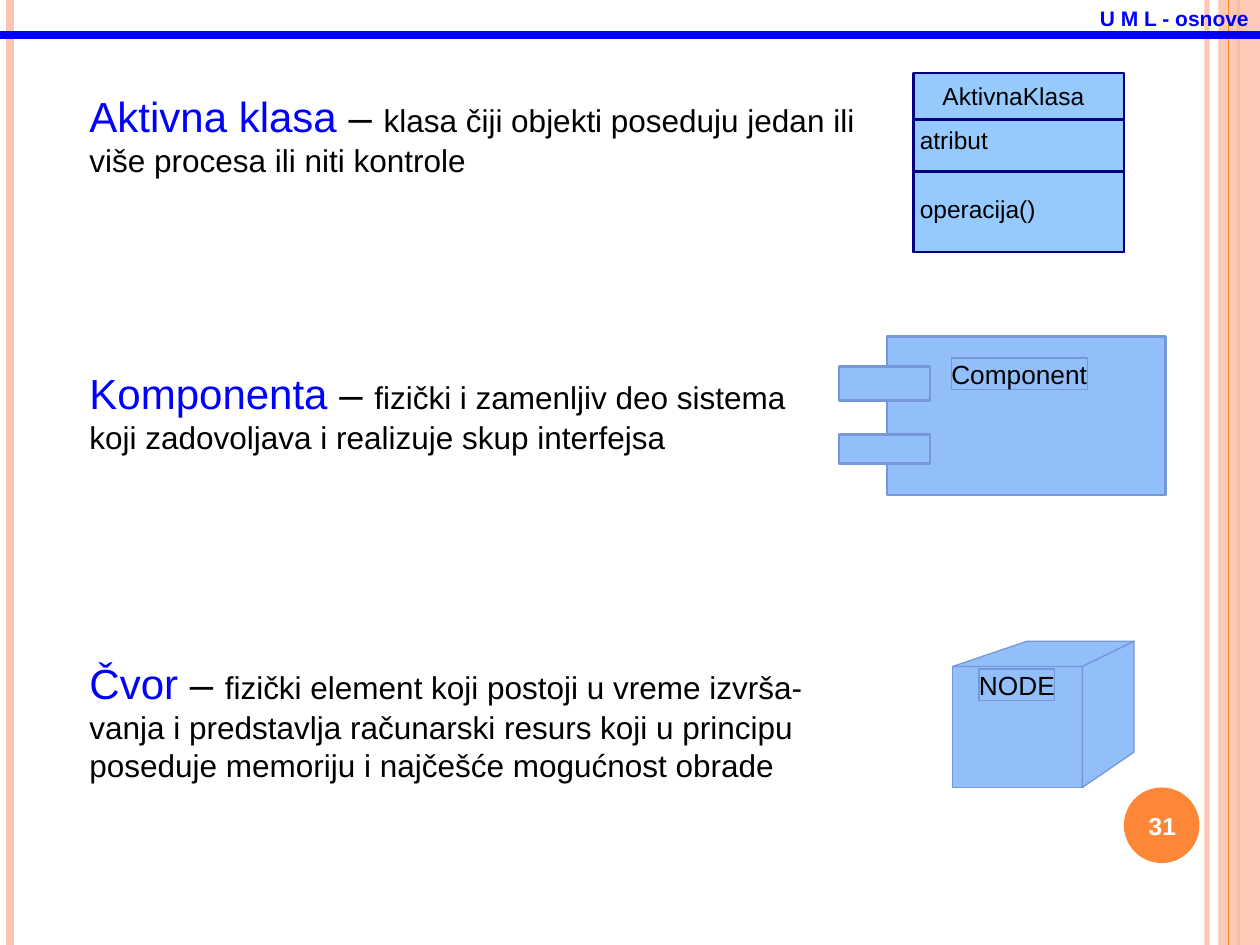
from dataclasses import dataclass
from typing import Optional

import pptx
import pptx.dml.color
import pptx.enum.shapes
import pptx.enum.text
import pptx.oxml.ns
import pptx.util
from lxml import etree

Inches = pptx.util.Inches
Pt = pptx.util.Pt
Shape = pptx.enum.shapes.MSO_SHAPE
Align = pptx.enum.text.PP_ALIGN
Anchor = pptx.enum.text.MSO_ANCHOR
qn = pptx.oxml.ns.qn


@dataclass(frozen=True)
class Theme:
    font: str = "Arial"
    black: str = "000000"
    white: str = "FFFFFF"
    blue: str = "0000FF"
    orange: str = "FE8637"
    peach: str = "FEC3AE"
    class_fill: str = "96CAFE"
    class_line: str = "000080"
    part_fill: str = "92BFFA"
    part_line: str = "7598D9"
    term_size: float = 24
    body_size: float = 18
    part_size: float = 15
    small_size: float = 14
    header_size: float = 12


@dataclass(frozen=True)
class Box:
    left: float
    top: float
    width: float
    height: float


@dataclass(frozen=True)
class Stroke:
    color: str
    width: float


@dataclass(frozen=True)
class Definition:
    term: str
    lines: tuple[str, ...]
    gap: float  # points above the term


THEME = Theme()
PART_STROKE = Stroke(THEME.part_line, 1.5)
LABEL_STROKE = Stroke(THEME.part_line, 0.75)
HAIRLINE = Stroke(THEME.part_line, 0)
CLASS_STROKE = Stroke(THEME.class_line, 1.5)

DEFINITIONS = (
    Definition("Aktivna klasa ", ("klasa čiji objekti poseduju jedan ili",
                                  "više procesa ili niti kontrole"), 0),
    Definition("Komponenta ", ("fizički i zamenljiv deo sistema",
                               "koji zadovoljava i realizuje skup interfejsa"), 108),
    Definition("Čvor ", ("fizički element koji postoji u vreme izvrša-",
                         "vanja i predstavlja računarski resurs koji u principu",
                         "poseduje memoriju i najčešće mogućnost obrade"), 115),
)


def rgb(color: str):
    return pptx.dml.color.RGBColor.from_string(color)


def set_alpha(fill_parent, percent: int) -> None:
    color = fill_parent.find(".//" + qn("a:srgbClr"))
    etree.SubElement(color, qn("a:alpha")).set("val", str(percent * 1000))


def paint(shape, fill: Optional[str], stroke: Optional[Stroke]) -> None:
    shape.shadow.inherit = False
    if fill:
        shape.fill.solid()
        shape.fill.fore_color.rgb = rgb(fill)
    else:
        shape.fill.background()
    if stroke:
        shape.line.color.rgb = rgb(stroke.color)
        shape.line.width = Pt(stroke.width)
    else:
        shape.line.fill.background()


def place(shape, box: Box) -> None:
    shape.left, shape.top = Inches(box.left), Inches(box.top)
    shape.width, shape.height = Inches(box.width), Inches(box.height)


def add_block(page, box: Box, fill: Optional[str], stroke: Optional[Stroke], kind=Shape.RECTANGLE):
    block = page.shapes.add_shape(kind, Inches(box.left), Inches(box.top),
                                  Inches(box.width), Inches(box.height))
    paint(block, fill, stroke)
    return block


def add_line(page, start: tuple[float, float], end: tuple[float, float], stroke: Stroke):
    line = page.shapes.add_connector(pptx.enum.shapes.MSO_CONNECTOR.STRAIGHT,
                                     *map(Inches, start + end))
    line.line.color.rgb = rgb(stroke.color)
    line.line.width = Pt(stroke.width)
    etree.SubElement(line._element.spPr, qn("a:effectLst"))
    return line


def add_face(page, points: list[tuple[float, float]]) -> None:
    corners = [(Inches(x), Inches(y)) for x, y in points]
    builder = page.shapes.build_freeform(*corners[0])
    builder.add_line_segments(corners[1:], close=True)
    paint(builder.convert_to_shape(), THEME.part_fill, HAIRLINE)


def set_frame(frame, margin_x: float, margin_y: float, wrap: bool, anchor=Anchor.TOP) -> None:
    frame.auto_size = pptx.enum.text.MSO_AUTO_SIZE.NONE
    frame.margin_left = frame.margin_right = Inches(margin_x)
    frame.margin_top = frame.margin_bottom = Inches(margin_y)
    frame.word_wrap = wrap
    frame.vertical_anchor = anchor


def set_font(font, size: float, color: str, bold: bool = False) -> None:
    font.name, font.size, font.bold = THEME.font, Pt(size), bold
    font.color.rgb = rgb(color)


def write(shape, text: str, size: float, color: str, bold: bool = False, align=Align.LEFT) -> None:
    para = shape.text_frame.paragraphs[0]
    para.text = text
    para.alignment = align
    set_font(para.font, size, color, bold)


def add_label(page, box: Box, text: str, size: float, fill=None, stroke=None) -> None:
    label = add_block(page, box, fill, stroke)
    set_frame(label.text_frame, 0, 0, wrap=False)
    write(label, text, size, THEME.black)


def draw_background(page) -> None:
    inner = add_line(page, (9.58, 0), (9.58, 7.5), Stroke(THEME.peach, 3))
    set_alpha(inner._element.spPr, 93)
    add_line(page, (0.08, 0), (0.08, 7.5), Stroke(THEME.peach, 4.5))
    add_line(page, (9.83, 0), (9.83, 7.5), Stroke(THEME.orange, 1.5))
    band = add_block(page, Box(9.67, 0, 0.33, 7.5), THEME.peach, None)
    set_alpha(band._element.spPr, 87)
    add_line(page, (9.75, 0), (9.75, 7.5), Stroke(THEME.orange, 0.75))


def draw_page_number(page) -> None:
    add_block(page, Box(8.92, 6.25, 0.6, 0.6), THEME.orange, None, Shape.OVAL)
    number = add_block(page, Box(8.89, 6.27, 0.67, 0.57), None, None)
    set_frame(number.text_frame, 0.1, 0.05, wrap=True, anchor=Anchor.MIDDLE)
    write(number, "31", THEME.small_size, THEME.white, True, Align.CENTER)


def write_definitions(body) -> None:
    place(body, Box(0.61, 0.67, 6.5, 5.6))
    frame = body.text_frame
    set_frame(frame, 0.1, 0.05, wrap=True)
    rows = [(item, index) for item in DEFINITIONS for index in range(len(item.lines))]
    for number, (item, index) in enumerate(rows):
        para = frame.add_paragraph() if number else frame.paragraphs[0]
        properties = para._p.get_or_add_pPr()
        properties.set("marL", "0")
        properties.set("indent", "0")
        etree.SubElement(properties, qn("a:buNone"))
        para.line_spacing = 1.0
        para.space_before = Pt(0 if index else item.gap)
        set_font(para.font, THEME.body_size, THEME.black)
        if index == 0:
            for text, color in ((item.term, THEME.blue), ("– ", THEME.black)):
                span = para.add_run()
                span.text = text
                set_font(span.font, THEME.term_size, color)
        para.add_run().text = item.lines[index]


def draw_class(page) -> None:
    bottom = 2.0
    for top, fill in ((0.58, THEME.class_fill), (0.95, None), (1.36, None)):
        add_block(page, Box(7.25, top, 1.67, bottom - top), fill, CLASS_STROKE)
    for left, top, text in ((7.48, 0.64, "AktivnaKlasa"), (7.3, 0.99, "atribut"),
                            (7.3, 1.54, "operacija()")):
        add_label(page, Box(left, top, 1.13, 0.23), text, THEME.small_size)


def draw_component(page) -> None:
    for box in (Box(7.04, 2.67, 2.21, 1.26), Box(6.66, 2.91, 0.72, 0.27),
                Box(6.66, 3.45, 0.72, 0.23)):
        add_block(page, box, THEME.part_fill, PART_STROKE)
    add_label(page, Box(7.55, 2.84, 1.08, 0.25), "Component", THEME.part_size,
              THEME.part_fill, LABEL_STROKE)


def draw_node(page) -> None:
    add_block(page, Box(7.56, 5.29, 1.04, 0.96), THEME.part_fill, HAIRLINE)
    add_face(page, [(7.56, 5.29), (8.15, 5.09), (9, 5.09), (8.59, 5.29)])
    add_face(page, [(8.59, 5.29), (9, 5.09), (9, 5.97), (8.59, 6.25)])
    add_label(page, Box(7.77, 5.31, 0.6, 0.25), "NODE", THEME.part_size,
              THEME.part_fill, LABEL_STROKE)


def draw_header(page, title) -> None:
    add_line(page, (0, 0.28), (10, 0.28), Stroke(THEME.blue, 4.5))
    place(title, Box(8.63, -0.01, 1.37, 0.3))
    set_frame(title.text_frame, 0.1, 0.05, wrap=False)
    title.text_frame.margin_right = 0  # room for the whole line
    write(title, "U M L - osnove", THEME.header_size, THEME.blue, True)
    page.shapes._spTree.append(title._element)  # keeps the header above the stripes


def main() -> None:
    deck = pptx.Presentation()
    deck.slide_width, deck.slide_height = Inches(10), Inches(7.5)
    page = deck.slides.add_slide(deck.slide_layouts[1])
    title, body = page.shapes.title, page.placeholders[1]

    # Frame of the page
    draw_background(page)
    draw_page_number(page)
    # Definitions and their symbols
    write_definitions(body)
    draw_class(page)
    draw_component(page)
    draw_node(page)
    # Header
    draw_header(page, title)
    deck.save("out.pptx")


if __name__ == "__main__":
    main()
